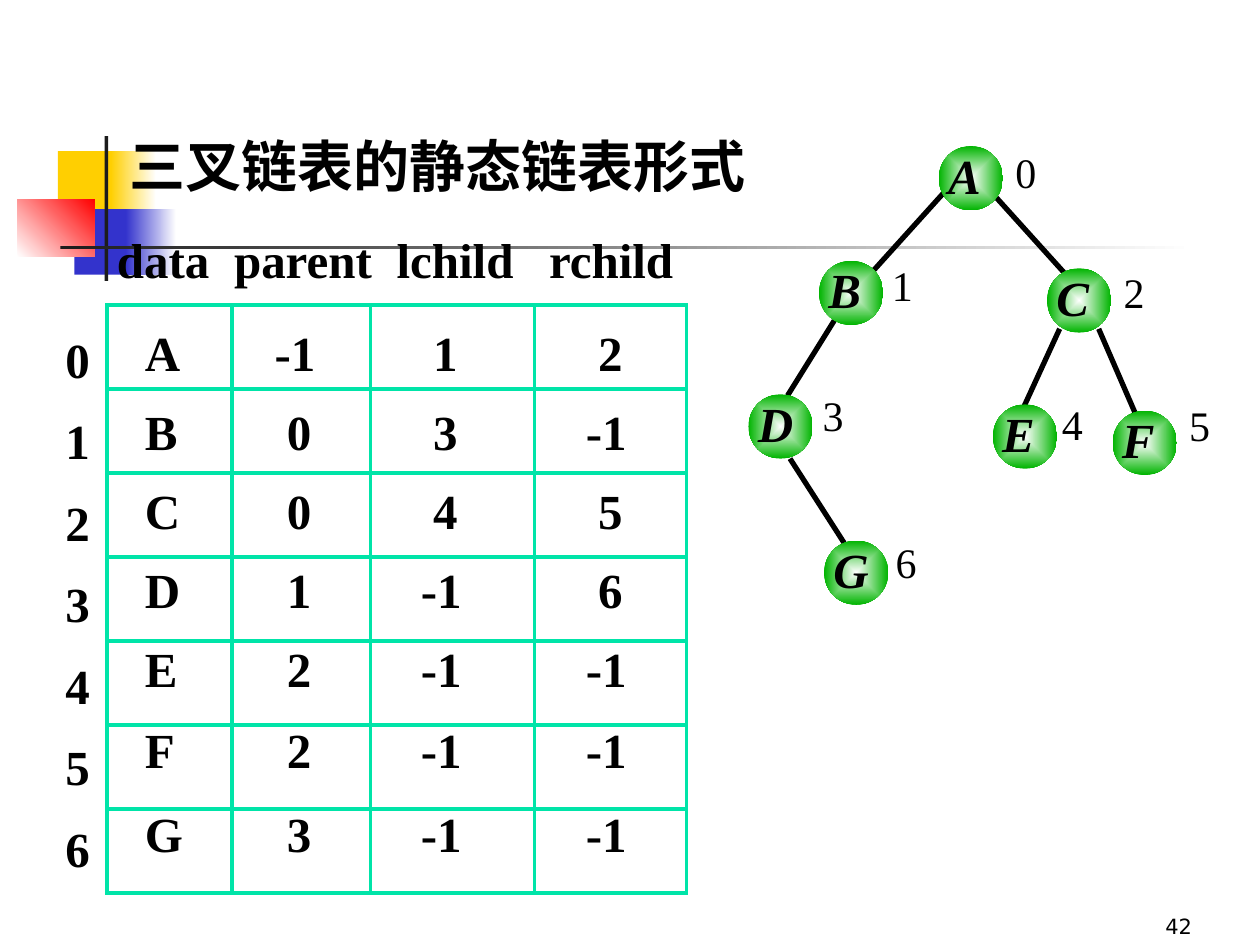
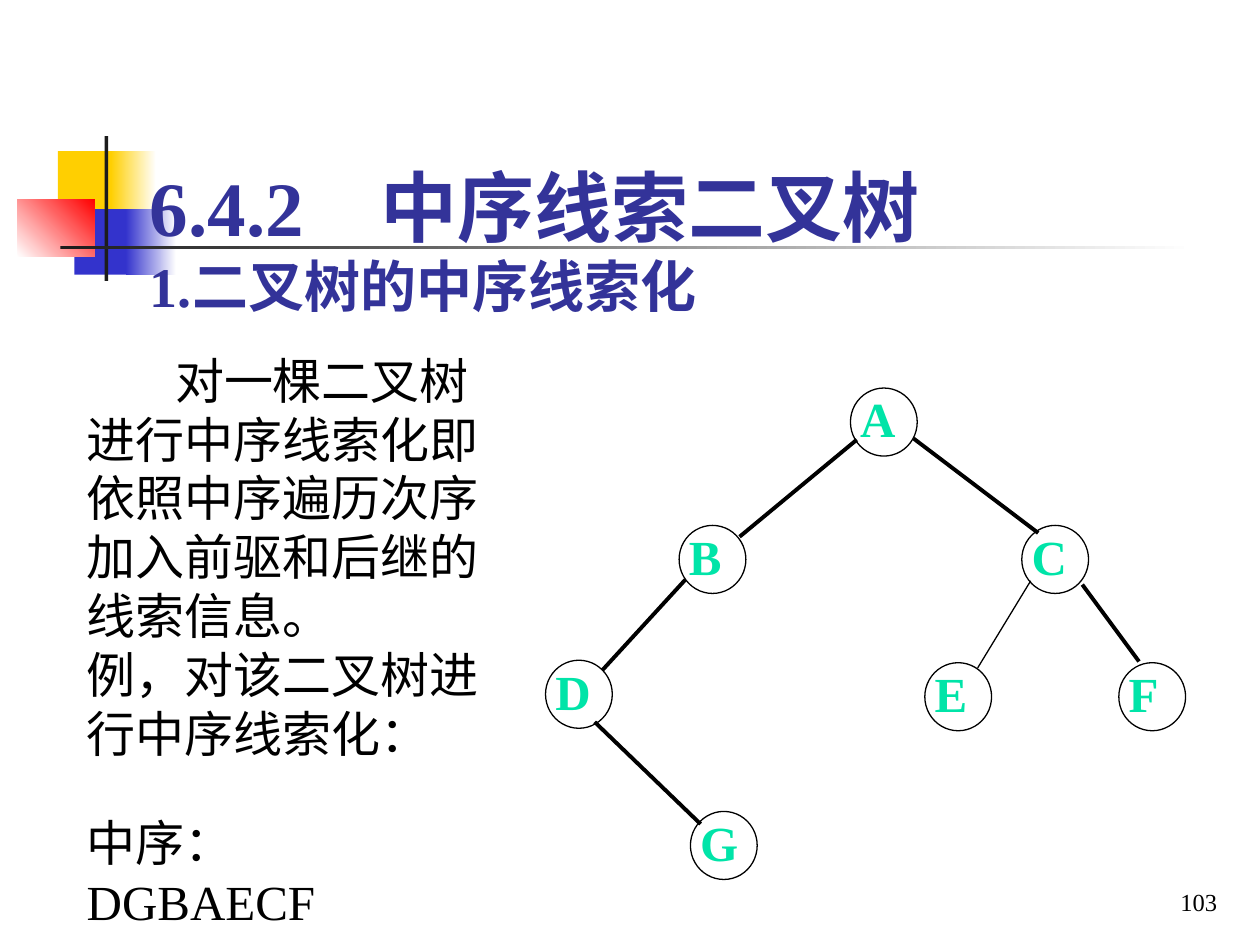
from dataclasses import dataclass
from itertools import accumulate
from lxml import etree
from pptx import Presentation
from pptx import util as u
from pptx.dml.color import RGBColor
from pptx.enum import shapes, text
from pptx.oxml.ns import qn

GOLD = RGBColor(0xFF, 0xCF, 0x01)
BLUE = RGBColor(0x33, 0x33, 0xCC)
NAVY = RGBColor(0x33, 0x33, 0x99)
RED = RGBColor(0xFF, 0, 0)
DARK = RGBColor(0x1C, 0x1C, 0x1C)
GREEN = RGBColor(0, 0xB4, 0)
MINT = RGBColor(0, 0xE4, 0xA8)
BLACK = RGBColor(0, 0, 0)
WHITE = RGBColor(0xFF, 0xFF, 0xFF)
SERIF = "Times New Roman"
LEFT, RIGHT = text.PP_ALIGN.LEFT, text.PP_ALIGN.RIGHT
TOP, MIDDLE, BOTTOM = (text.MSO_ANCHOR.TOP, text.MSO_ANCHOR.MIDDLE,
                       text.MSO_ANCHOR.BOTTOM)
PLAIN = dict(name=SERIF, size=28, color=BLACK, bold=False, italic=False)
BOLD = {**PLAIN, "bold": True}
HEAD = {**BOLD, "size": 32}


@dataclass
class Block:
    """A rectangle of the corner motif, with one or two colours."""
    at: tuple
    tints: tuple
    angle: int = 0


@dataclass
class Node:
    """A tree node with its place and an optional index label."""
    name: str
    x: float
    y: float
    tag: str = ""
    spot: tuple = ()


@dataclass
class Edge:
    """A tree branch between two points."""
    start: tuple
    end: tuple
    width: float


@dataclass
class Look:
    """How the nodes of one tree are drawn."""
    wide: float
    high: float
    font: dict
    shiny: bool


BLOCKS = [
    Block((0.46, 1.2, 0.48, 0.52), (GOLD,)),
    Block((0.88, 1.2, 0.36, 0.52), (GOLD, WHITE)),
    Block((0.59, 1.66, 0.46, 0.52), (BLUE,)),
    Block((1, 1.66, 0.4, 0.52), (BLUE, WHITE)),
    Block((0.14, 1.58, 0.61, 0.46), (WHITE, RED), 45),
    Block((0.83, 1.08, 0.03, 1.15), (DARK,)),
    Block((0.48, 1.95, 9, 0.03), (DARK, WHITE)),
]
SHINY = Look(0.51, 0.51, {**BOLD, "italic": True}, True)
HOLLOW = Look(0.53, 0.54, {**BOLD, "color": MINT}, False)
LINKED = [
    Node("A", 7.45, 1.16, "0", (7.96, 1.11)),
    Node("B", 6.5, 2.07, "1", (6.98, 2.01)),
    Node("C", 8.31, 2.13, "2", (8.82, 2.07)),
    Node("D", 5.94, 3.13, "3", (6.43, 3.04)),
    Node("E", 7.88, 3.21, "4", (8.33, 3.11)),
    Node("F", 8.83, 3.26, "5", (9.34, 3.12)),
    Node("G", 6.54, 4.29, "6", (7.01, 4.21)),
]
THREAD = [
    Node("A", 6.75, 3.08), Node("B", 5.39, 4.17), Node("C", 8.11, 4.17),
    Node("D", 4.33, 5.24), Node("E", 7.34, 5.26), Node("F", 8.88, 5.26),
    Node("G", 5.48, 6.44),
]
LINKS = [
    Edge((7.49, 1.53), (6.93, 2.15), 3), Edge((7.9, 1.56), (8.46, 2.18), 3),
    Edge((6.63, 2.53), (6.25, 3.14), 3), Edge((6.27, 3.64), (6.7, 4.31), 3),
    Edge((8.41, 2.61), (8.13, 3.22), 3), Edge((8.72, 2.61), (9.01, 3.28), 3),
]
THREADS = [
    Edge((6.8, 3.49), (5.87, 4.26), 2.25), Edge((5.44, 4.6), (4.78, 5.32), 2.25),
    Edge((4.72, 5.73), (5.56, 6.54), 2.25), Edge((7.25, 3.48), (8.24, 4.23), 2.25),
    Edge((8.18, 4.61), (7.76, 5.3), 0.75), Edge((8.59, 4.64), (9.04, 5.25), 2.25),
]
ROWS = [("A", -1, 1, 2), ("B", 0, 3, -1), ("C", 0, 4, 5), ("D", 1, -1, 6),
        ("E", 2, -1, -1), ("F", 2, -1, -1), ("G", 3, -1, -1)]
WIDTHS = (0.99, 1.1, 1.3, 1.21)
PADS = (0.3, 0.34, 0.4, 0.41)


def put(thing, values: dict) -> None:
    """Set every attribute named in values."""
    for key, value in values.items():
        setattr(thing, key, value)


def place(shape, at: tuple) -> None:
    """Move and size a shape, in inches."""
    put(shape, dict(zip(("left", "top", "width", "height"), map(u.Inches, at))))


def ink(font, look: dict) -> None:
    """Format a font."""
    put(font, {k: look[k] for k in ("name", "bold", "italic")})
    font.size = u.Pt(look["size"])
    font.color.rgb = look["color"]


def write(frame, lines: list, look: dict, align=LEFT, anchor=TOP,
          sizes: tuple = (), **spacing) -> None:
    """Fill a text frame, one paragraph a line."""
    put(frame, dict(word_wrap=True, auto_size=text.MSO_AUTO_SIZE.NONE,
                    vertical_anchor=anchor))
    frame.text = "\n".join(lines)
    for i, par in enumerate(frame.paragraphs):
        put(par, dict(alignment=align, space_before=u.Pt(0), **spacing))
        size = sizes[i] if sizes else look["size"]
        for run in par.runs:
            ink(run.font, {**look, "size": size})


def label(slide, at: tuple, lines: list, look: dict, **how):
    """Add a text box."""
    box = slide.shapes.add_textbox(*map(u.Inches, at))
    write(box.text_frame, lines, look, **how)
    return box


def tabs(shape, stops: list) -> None:
    """Set tab stops on the first paragraph."""
    props = next(shape.element.iter(qn("a:p"))).get_or_add_pPr()
    group = etree.SubElement(props, qn("a:tabLst"))
    for stop in stops:
        etree.SubElement(group, qn("a:tab"), pos=str(u.Inches(stop)), algn="l")


def shade(shape, tints: tuple, angle: int = 0) -> None:
    """Fill a shape with one colour or a two-colour gradient."""
    fill = shape.fill
    if len(tints) == 1:
        fill.solid()
        fill.fore_color.rgb = tints[0]
        return
    fill.gradient()
    fill.gradient_angle = angle
    for stop, tint in zip(fill.gradient_stops, tints):
        stop.color.rgb = tint


def glow(shape) -> None:
    """Fill a shape from white at the centre to green at the rim."""
    shade(shape, (WHITE, GREEN))
    grad = shape.element.spPr.find(qn("a:gradFill"))
    grad.remove(grad.find(qn("a:lin")))
    way = etree.SubElement(grad, qn("a:path"), path="shape")
    etree.SubElement(way, qn("a:fillToRect"), l="50000", t="50000",
                     r="50000", b="50000")


def motif(deck, slide) -> None:
    """Build the corner motif and move it to the master."""
    tree = deck.slide_master.shapes.element
    for i, block in enumerate(BLOCKS):
        shape = slide.shapes.add_shape(shapes.MSO_SHAPE.RECTANGLE,
                                       *map(u.Inches, block.at))
        shape.shadow.inherit = False
        shape.line.fill.background()
        shade(shape, block.tints, block.angle)
        tree.insert(2 + i, shape.element)


def branch(slide, edge: Edge) -> None:
    """Draw one branch."""
    ends = map(u.Inches, (*edge.start, *edge.end))
    line = slide.shapes.add_connector(shapes.MSO_CONNECTOR.STRAIGHT, *ends)
    line.line.color.rgb = BLACK
    line.line.width = u.Pt(edge.width)
    etree.SubElement(line.element.spPr, qn("a:effectLst"))


def tree(slide, nodes: list, edges: list, look: Look) -> None:
    """Draw a tree, with the branches behind the nodes."""
    for edge in edges:
        branch(slide, edge)
    for node in nodes:
        at = map(u.Inches, (node.x, node.y, look.wide, look.high))
        disc = slide.shapes.add_shape(shapes.MSO_SHAPE.OVAL, *at)
        disc.shadow.inherit = False
        if look.shiny:
            glow(disc)
            disc.line.fill.background()
        else:
            disc.fill.background()
            disc.line.color.rgb = BLACK
            disc.line.width = u.Pt(0.75)
        frame = disc.text_frame
        put(frame, dict(margin_left=0, margin_right=0, margin_top=0,
                        margin_bottom=u.Inches(0.06)))
        write(frame, [node.name], look.font, anchor=MIDDLE)
        if node.tag:
            label(slide, (*node.spot, 0.4, 0.5), [node.tag], {**PLAIN, "size": 24})


def border(props) -> None:
    """Give a table cell a mint line on each side."""
    for i, side in enumerate(("lnL", "lnR", "lnT", "lnB")):
        line = etree.Element(qn(f"a:{side}"), w=str(u.Pt(2.25)))
        fill = etree.SubElement(line, qn("a:solidFill"))
        etree.SubElement(fill, qn("a:srgbClr"), val=str(MINT))
        props.insert(i, line)


def grid(slide) -> None:
    """Add the static list as a table, with headings and row numbers."""
    at = map(u.Inches, (0.85, 2.42, sum(WIDTHS), 4.67))
    holder = slide.shapes.add_table(len(ROWS), len(WIDTHS), *at)
    table = holder.table
    put(table, dict(first_row=False, horz_banding=False))
    for column, width in zip(table.columns, WIDTHS):
        column.width = u.Inches(width)
    for r, row in enumerate(ROWS):
        for c, value in enumerate(row):
            cell = table.cell(r, c)
            cell.fill.background()
            put(cell, dict(margin_left=u.Inches(PADS[c]), margin_right=0,
                           margin_top=u.Inches(max(0, 0.18 - 0.04 * r)),
                           margin_bottom=0, vertical_anchor=TOP))
            cell.text = f"{value:>2}" if c else value
            ink(cell.text_frame.paragraphs[0].runs[0].font, BOLD)
    for item in holder.element.iter(qn("a:tc")):
        border(item.get_or_add_tcPr())
    heads = label(slide, (0.83, 1.77, 4.74, 0.57),
                  ["data\tparent\tlchild\trchild"], BOLD, anchor=MIDDLE)
    tabs(heads, [0.93, 2.22, 3.43])
    rows = label(slide, (0.42, 2.5, 0.42, 4.55), [str(i) for i in range(len(ROWS))],
                 BOLD, anchor=MIDDLE, line_spacing=1.05)
    for par in rows.text_frame.paragraphs:
        par.space_before = u.Pt(11.3)


def number(slide, page: str, right: float, low: float, look: dict) -> None:
    """Add a page number that ends at the given corner."""
    label(slide, (right - 2, low - 0.5, 2, 0.5), [page], look,
          align=RIGHT, anchor=BOTTOM)


def static(deck) -> None:
    """Build the slide on the static linked list."""
    slide = deck.slides.add_slide(deck.slide_layouts[5])
    motif(deck, slide)
    title = slide.shapes.title
    place(title, (0.93, 0.99, 5.51, 0.63))
    write(title.text_frame, ["三叉链表的静态链表形式"], HEAD)
    tree(slide, LINKED, LINKS, SHINY)
    grid(slide)
    number(slide, "42", 9.56, 7.5, {**PLAIN, "name": "DejaVu Sans", "size": 12})


def inorder(deck) -> None:
    """Build the slide on the threaded tree."""
    slide = deck.slides.add_slide(deck.slide_layouts[1])
    title, body = slide.placeholders
    place(title, (1.09, 0.86, 7.85, 1.72))
    write(title.text_frame, ["6.4.2\t中序线索二叉树", "1.二叉树的中序线索化"],
          {**HEAD, "color": NAVY}, anchor=BOTTOM, sizes=(44, 32))
    tabs(title, [1.83])
    place(body, (0.59, 2.73, 3.44, 3.4))
    write(body.text_frame,
          ["对一棵二叉树进行中序线索化即依照中序遍历次序加入前驱和后继的线索信息。",
           "例，对该二叉树进行中序线索化："], PLAIN)
    for par, indent in zip(body.element.iter(qn("a:p")), (0.7, 0)):
        props = par.get_or_add_pPr()
        props.set("marL", "0")
        props.set("indent", str(u.Inches(indent)))
        etree.SubElement(props, qn("a:buNone"))
    tree(slide, THREAD, THREADS, HOLLOW)
    number(slide, "103", 9.76, 7.32, {**PLAIN, "size": 14})
    label(slide, (0.59, 6.4, 2.9, 0.98), ["中序：DGBAECF"], PLAIN)


def main() -> None:
    """Build and save the deck."""
    deck = Presentation()
    put(deck, dict(slide_width=u.Inches(10), slide_height=u.Inches(7.5)))
    static(deck)
    inorder(deck)
    deck.save("out.pptx")


if __name__ == "__main__":
    main()
